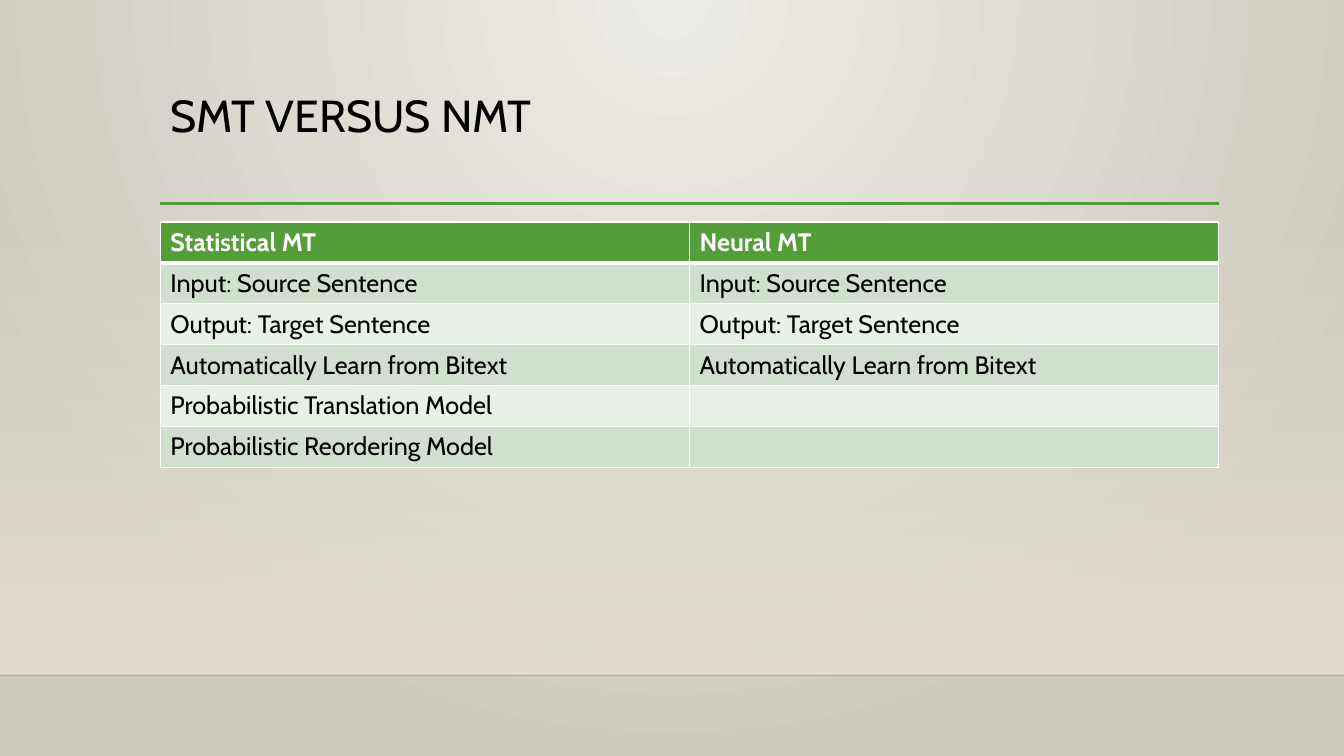
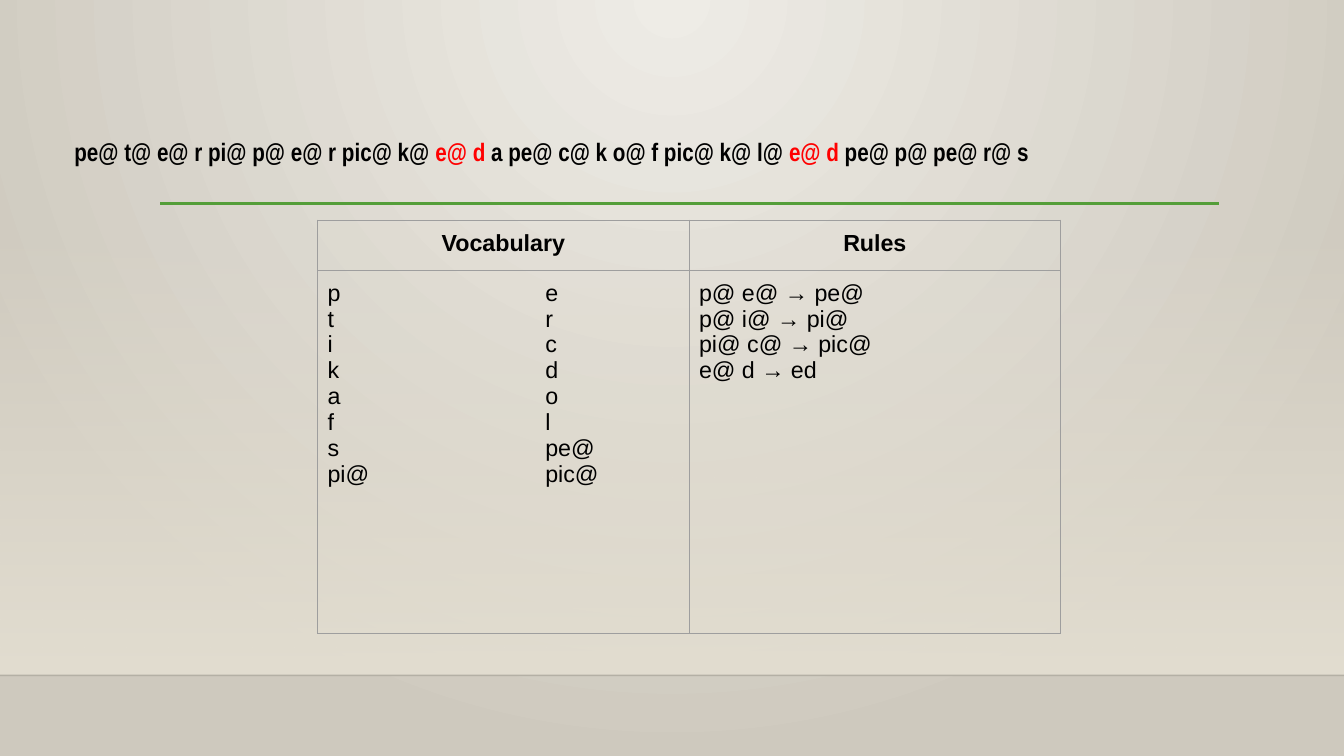
from lxml.etree import SubElement as Sub
from pptx import Presentation
from pptx.dml.color import RGBColor as RGB
from pptx.enum.shapes import MSO_CONNECTOR as LINK, MSO_SHAPE as SHAPE
from pptx.enum.text import MSO_ANCHOR as ANCHOR, MSO_AUTO_SIZE as FIT, PP_ALIGN as ALIGN
from pptx.oxml.ns import qn
from pptx.util import Pt

COLORS = {
    "glow": "EEECE6", "edge": "CEC9BE", "floor": "E3DED1", "shade": "000001",
    "green": "549E39", "sage": "D1DFCE", "mist": "E9F0E8", "gray": "9E9E9E",
    "text": "000000", "white": "FFFFFF", "red": "FF0000",
}
RGBS = {name: RGB.from_string(value) for name, value in COLORS.items()}
WIDTH, HEIGHT = 960, 540
LEFT, CONTENT_WIDTH = 114.5, 756
HORIZON = 482.4

TITLE = {"name": "Cabin", "size": Pt(32), "bold": False}
CABIN = {"name": "Cabin", "size": Pt(18)}
ARIAL = {"name": "Arial", "size": Pt(16.6)}
NARROW = {"name": "Arial Narrow", "size": Pt(18), "bold": True}


def add_run(paragraph, text, formats, color):
    run = paragraph.add_run()
    run.text = text
    for key, value in formats.items():
        setattr(run.font, key, value)
    run.font.color.rgb = RGBS[color]


def add_grid(slide, place, heights, rows, look):
    frame = slide.shapes.add_table(len(rows), len(rows[0]), *map(Pt, place))
    table = frame.table
    table.horz_banding = False
    for column in table.columns:
        column.width = Pt(place[2] / len(rows[0]))
    for r, row in enumerate(rows):
        table.rows[r].height = Pt(heights[r])
        for c, lines in enumerate(row):
            cell = table.cell(r, c)
            for side in ("left", "top", "right", "bottom"):
                if "margin" in look:
                    setattr(cell, f"margin_{side}", Pt(look["margin"]))
            properties = cell._tc.get_or_add_tcPr()
            for edge in ("lnL", "lnR", "lnT", "lnB"):
                under_header = (r, edge) in ((0, "lnB"), (1, "lnT"))
                weight = look["rule" if under_header else "border"]
                border = Sub(properties, qn(f"a:{edge}"), w=str(Pt(weight)))
                solid = Sub(border, qn("a:solidFill"))
                Sub(solid, qn("a:srgbClr"), val=COLORS[look["line"]])
            if look["fills"]:
                cell.fill.solid()
                cell.fill.fore_color.rgb = RGBS[look["fills"][r]]
            else:
                cell.fill.background()
            for i, line in enumerate(lines):
                text_frame = cell.text_frame
                paragraph = text_frame.add_paragraph() if i else text_frame.paragraphs[0]
                paragraph.alignment = ALIGN.LEFT if r else look["header_align"]
                if "\t" in line:
                    tabs = Sub(paragraph._p.get_or_add_pPr(), qn("a:tabLst"))
                    Sub(tabs, qn("a:tab"), pos=str(Pt(look["tab"])), algn="l")
                color = "text" if r else look["header_color"]
                add_run(paragraph, line, {**look["font"], "bold": r == 0}, color)


deck = Presentation()
deck.slide_width, deck.slide_height = Pt(WIDTH), Pt(HEIGHT)

master = deck.slide_master
backdrop = master.background.fill
backdrop.gradient()
for stop, name in zip(backdrop.gradient_stops, ("glow", "edge")):
    stop.color.rgb = RGBS[name]
gradient = master._element.find(".//" + qn("a:gradFill"))
gradient.remove(gradient.find(qn("a:lin")))
circle = Sub(gradient, qn("a:path"), {"path": "circle"})
Sub(circle, qn("a:fillToRect"), l="43000", t="0", r="43000", b="100000")

slides = [deck.slides.add_slide(deck.slide_layouts[6]) for _ in range(2)]
for slide in slides:
    floor = slide.shapes.add_shape(SHAPE.RECTANGLE, 0, Pt(159), Pt(WIDTH), Pt(HORIZON - 159))
    floor.shadow.inherit = False
    floor.line.fill.background()
    floor.fill.gradient()
    floor.fill.gradient_angle = 270
    for stop in floor.fill.gradient_stops:
        stop.color.rgb = RGBS["floor"]
    first_color = floor._element.spPr.find(".//" + qn("a:srgbClr"))
    Sub(first_color, qn("a:alpha"), val="0")

    for start, end, y, weight, name, alpha in (
        (0, WIDTH, HORIZON, 1, "shade", 20),
        (LEFT, LEFT + CONTENT_WIDTH, 145.4, 2.5, "green", 100),
    ):
        rule = slide.shapes.add_connector(LINK.STRAIGHT, Pt(start), Pt(y), Pt(end), Pt(y))
        rule.line.width = Pt(weight)
        rule.line.color.rgb = RGBS[name]
        rule_properties = rule._element.spPr
        if alpha < 100:
            rule_color = rule_properties.find(".//" + qn("a:srgbClr"))
            Sub(rule_color, qn("a:alpha"), val=str(alpha * 1000))
        Sub(rule_properties, qn("a:effectLst"))

comparison, segmentation = slides

title = comparison.shapes.add_textbox(Pt(LEFT), Pt(63.4), Pt(CONTENT_WIDTH), Pt(82.8)).text_frame
title.word_wrap = True
title.vertical_anchor = ANCHOR.TOP
title.paragraphs[0].line_spacing = 0.9
add_run(title.paragraphs[0], "SMT VERSUS NMT", TITLE, "text")

shared_steps = ["Input: Source Sentence", "Output: Target Sentence", "Automatically Learn from Bitext"]
systems = [
    [["Statistical MT"], ["Neural MT"]],
    *[[[step], [step]] for step in shared_steps],
    [["Probabilistic Translation Model"], []],
    [["Probabilistic Reordering Model"], []],
]
add_grid(comparison, (LEFT, 158.6, CONTENT_WIDTH, 175.2), [29.2] * 6, systems, {
    "font": CABIN, "header_color": "white", "header_align": ALIGN.LEFT,
    "line": "white", "border": 1, "rule": 3,
    "fills": ["green", "sage", "mist", "sage", "mist", "sage"],
})

sentence = segmentation.shapes.add_textbox(Pt(46), Pt(93.6), Pt(722), Pt(29)).text_frame
sentence.word_wrap = False
sentence.auto_size = FIT.SHAPE_TO_FIT_TEXT
for text, color in (
    ("pe@ t@ e@ r pi@ p@ e@ r pic@ k@ ", "text"),
    ("e@ d", "red"),
    (" a pe@ c@ k o@ f pic@ k@ l@ ", "text"),
    ("e@ d", "red"),
    (" pe@ p@ pe@ r@ s", "text"),
):
    add_run(sentence.paragraphs[0], text, NARROW, color)

vocabulary = ["p\te", "t\tr", "i\tc", "k\td", "a\to", "f\tl", "s\tpe@", "pi@\tpic@"]
merges = ["p@ e@ → pe@", "p@ i@ → pi@", "pi@ c@ → pic@", "e@ d → ed"]
lexicon = [[["Vocabulary"], ["Rules"]], [vocabulary, merges]]
add_grid(segmentation, (226.8, 157.2, 530.8, 295), [35.8, 259.2], lexicon, {
    "font": ARIAL, "header_color": "text", "header_align": ALIGN.CENTER,
    "line": "gray", "border": 0.75, "rule": 0.75,
    "fills": None, "margin": 7.2, "tab": 155.5,
})

deck.save("out.pptx")
